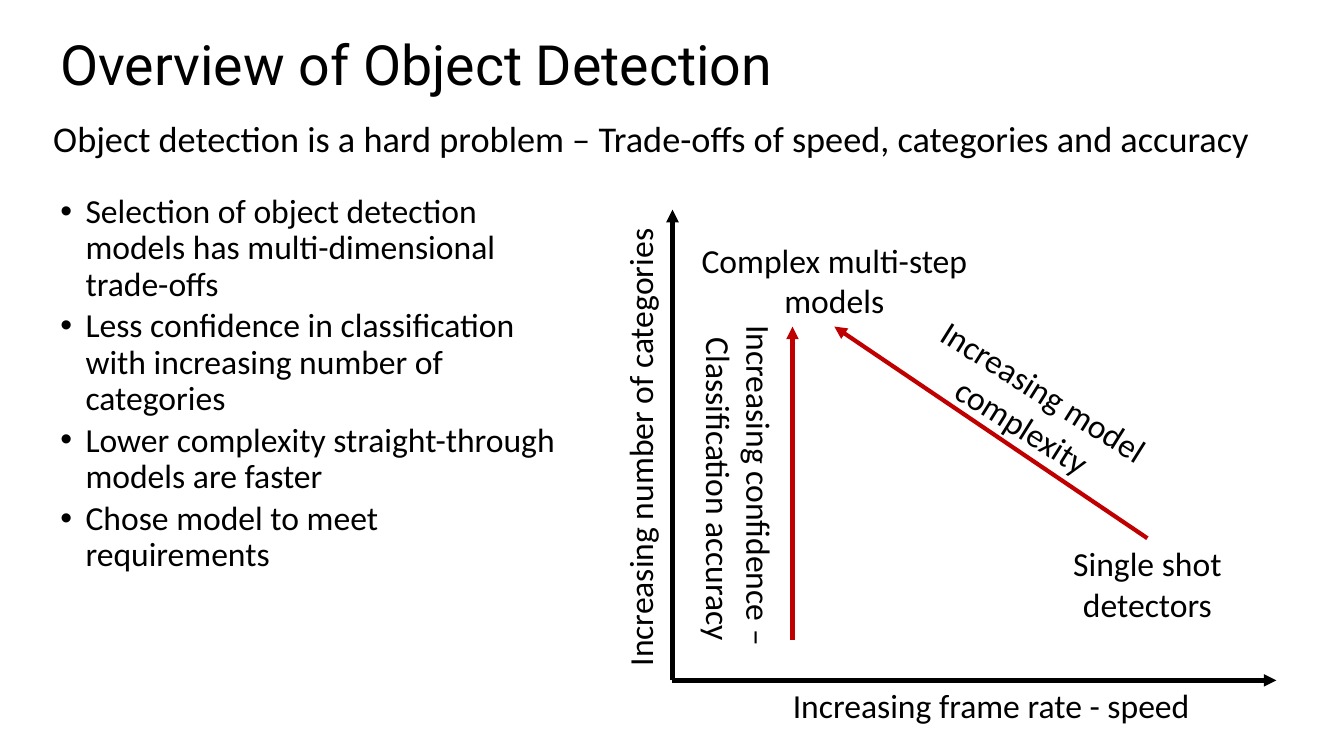
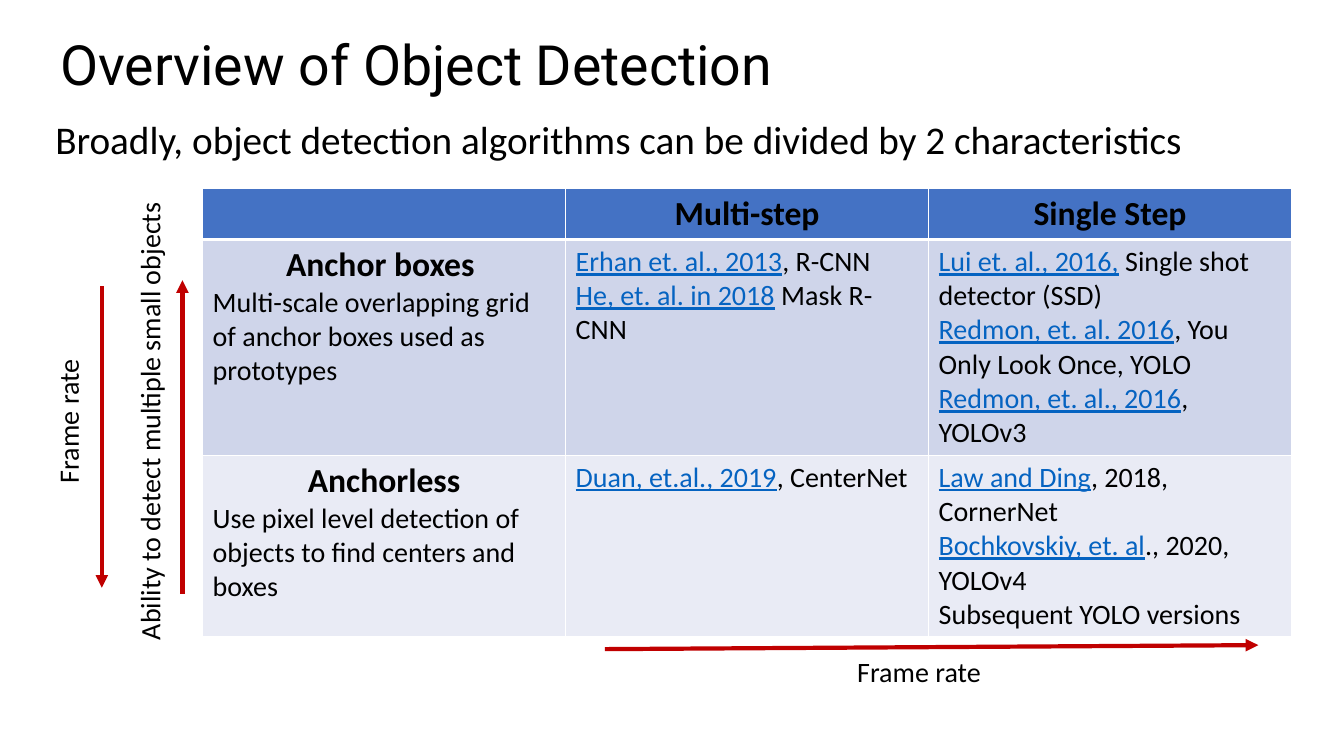
from dataclasses import dataclass

from lxml import etree
from pptx import Presentation
from pptx.dml.color import RGBColor
from pptx.enum import shapes, text
from pptx.oxml import ns
from pptx.util import Emu, Pt

EMU_PER_PX = 9144  # 100 px to the inch
COLORS = {
    "ink": "000000", "trend": "C00000", "link": "0563C1", "grid": "FFFFFF",
    "header": "4472C4", "band_dark": "CFD5EA", "band_light": "E9EBF5",
}
BODY_FONT, TITLE_FONT = "Calibri", "Roboto"
LEFT, CENTER = text.PP_ALIGN.LEFT, text.PP_ALIGN.CENTER
BULLET_INDENT = 25
TITLE = "Overview of Object Detection"


@dataclass(frozen=True)
class Label:
    words: str
    left: int
    top: int
    width: int
    height: int
    rotation: float = 0


@dataclass(frozen=True)
class Arrow:
    start: tuple[int, int]
    end: tuple[int, int]
    color: str = "trend"


@dataclass(frozen=True)
class Entry:
    """A table cell: a bold centred heading above plain lines."""
    heading: str = ""
    details: str = ""


SINGLE_SHOT = Label("Single shot detectors", 1009, 534, 258, 91)
MULTI_STEP = Label("Complex multi-step models", 684, 233, 287, 91)
TRADE_OFF_LABELS = (
    Label("Increasing frame rate - speed", 762, 675, 442, 50),
    Label("Increasing number of categories", 398, 419, 473, 50, 270),
    Label("Increasing model complexity", 833, 360, 383, 91, 32.2),
    Label("Increasing confidence – \nClassification accuracy", 512, 440, 442, 91, 90),
)
ORIGIN = (667, 675)
TRADE_OFF_ARROWS = (
    Arrow(ORIGIN, (1266, 675), "ink"),
    Arrow(ORIGIN, (667, 208), "ink"),
    Arrow((786, 635), (786, 324)),
)
TRADE_OFFS = "\n".join((
    "Selection of object detection models has multi-dimensional trade-offs",
    "Less confidence in classification with increasing number of categories",
    "Lower complexity straight-through models are faster",
    "Chose model to meet requirements",
))

FAMILY_LABELS = (
    Label("Frame rate", -169, 396, 473, 44, 270),
    Label("Ability to detect multiple small objects", -88, 396, 473, 44, 270),
    Label("Frame rate", 675, 644, 473, 44),
)
FAMILY_ARROWS = (
    Arrow((101, 284), (101, 583)),
    Arrow((181, 589), (181, 278)),
    Arrow((600, 644), (1248, 640)),
)
# Words in square brackets are shown as references.
FAMILIES = (
    (Entry(), Entry("Multi-step"), Entry("Single Step")),
    (
        Entry("Anchor boxes ", "Multi-scale overlapping grid of anchor boxes used as prototypes"),
        Entry(details="[Erhan et. al., 2013], R-CNN\n[He, et. al. in 2018] Mask R-CNN"),
        Entry(details="[Lui et. al., 2016,] Single shot detector (SSD)\n"
                      "[Redmon, et. al. 2016], You Only Look Once, YOLO\n"
                      "[Redmon, et. al., 2016], YOLOv3"),
    ),
    (
        Entry("Anchorless", "Use pixel level detection of objects to find centers and boxes"),
        Entry(details="[Duan, et.al., 2019], CenterNet"),
        Entry(details="[Law and Ding], 2018, CornerNet\n"
                      "[Bochkovskiy, et. al]., 2020, YOLOv4\n"
                      "Subsequent YOLO versions"),
    ),
)
ROW_HEIGHTS = (49, 210, 178)
ROW_FILLS = ("header", "band_dark", "band_light")
COLUMN_WIDTH = 360


def px(length: int) -> Emu:
    return Emu(length * EMU_PER_PX)


def rgb(name: str) -> RGBColor:
    return RGBColor.from_string(COLORS[name])


def write(frame, words: str, *, size: float, font: str = BODY_FONT, bold: bool = False,
          align=LEFT, line_spacing: float = 1.0, space_before: float = 0,
          bullet: bool = False, append: bool = False) -> None:
    """Write one paragraph per line; bracketed words become references."""
    for index, line in enumerate(words.split("\n")):
        first = index == 0 and not append
        paragraph = frame.paragraphs[0] if first else frame.add_paragraph()
        if bullet:
            properties = paragraph._p.get_or_add_pPr()
            properties.set("marL", str(px(BULLET_INDENT)))
            properties.set("indent", str(-px(BULLET_INDENT)))
            etree.SubElement(properties, ns.qn("a:buFont"), typeface="Arial")
            etree.SubElement(properties, ns.qn("a:buChar"), char="•")
        paragraph.alignment = align
        paragraph.line_spacing = line_spacing
        if not first:
            paragraph.space_before = Pt(space_before)
        for position, part in enumerate(line.replace("]", "[").split("[")):
            if not part:
                continue
            is_reference = position % 2 == 1
            run = paragraph.add_run()
            run.text = part
            run.font.name, run.font.size, run.font.bold = font, Pt(size), bold
            run.font.underline = is_reference
            run.font.color.rgb = rgb("link" if is_reference else "ink")


def add_text(slide, label: Label, *, grow: bool = False,
             anchor=text.MSO_ANCHOR.TOP, **text_format):
    box = slide.shapes.add_textbox(px(label.left), px(label.top),
                                   px(label.width), px(label.height))
    box.rotation = label.rotation
    frame = box.text_frame
    frame.word_wrap = True
    frame.vertical_anchor = anchor
    frame.auto_size = text.MSO_AUTO_SIZE.SHAPE_TO_FIT_TEXT if grow else text.MSO_AUTO_SIZE.NONE
    write(frame, label.words, **text_format)
    return box


def add_labels(slide, labels: tuple[Label, ...], size: int) -> list:
    return [add_text(slide, label, grow=True, size=size, align=CENTER) for label in labels]


def add_arrow(slide, arrow: Arrow):
    connector = slide.shapes.add_connector(
        shapes.MSO_CONNECTOR.STRAIGHT,
        *(px(value) for value in (*arrow.start, *arrow.end)))
    connector.line.color.rgb = rgb(arrow.color)
    connector.line.width = Pt(3)
    etree.SubElement(connector.line._get_or_add_ln(), ns.qn("a:tailEnd"), type="triangle")
    etree.SubElement(connector._element.spPr, ns.qn("a:effectLst"))
    return connector


def add_headed_slide(deck, subtitle: str, size: float, left: int):
    slide = deck.slides.add_slide(deck.slide_layouts[6])
    add_text(slide, Label(subtitle, left, 115, 1260, 67), size=size, line_spacing=0.9)
    add_text(slide, Label(TITLE, 50, 36, 1260, 63), size=39.6, font=TITLE_FONT,
             line_spacing=0.9, anchor=text.MSO_ANCHOR.MIDDLE)
    return slide


def set_borders(cell, **widths: float) -> None:
    """Draw cell borders in the schema's order: L, R, T, B."""
    properties = cell._tc.get_or_add_tcPr()
    for side in "LRTB":
        border = etree.SubElement(properties, ns.qn(f"a:ln{side}"),
                                  w=str(Pt(widths.get(side, 1))))
        fill = etree.SubElement(border, ns.qn("a:solidFill"))
        etree.SubElement(fill, ns.qn("a:srgbClr"), val=COLORS["grid"])


def add_family_table(slide) -> None:
    columns = len(FAMILIES[0])
    table = slide.shapes.add_table(len(FAMILIES), columns, px(201), px(187),
                                   px(COLUMN_WIDTH * columns), px(sum(ROW_HEIGHTS))).table
    table.first_row = table.horz_banding = False
    for column in table.columns:
        column.width = px(COLUMN_WIDTH)
    for row_index, entries in enumerate(FAMILIES):
        table.rows[row_index].height = px(ROW_HEIGHTS[row_index])
        for column_index, entry in enumerate(entries):
            cell = table.cell(row_index, column_index)
            set_borders(cell, T=3 if row_index == 1 else 1, B=3 if row_index == 0 else 1)
            cell.fill.solid()
            cell.fill.fore_color.rgb = rgb(ROW_FILLS[row_index])
            if entry.heading:
                write(cell.text_frame, entry.heading, size=24, bold=True, align=CENTER)
            if entry.details:
                write(cell.text_frame, entry.details, size=20, append=bool(entry.heading))


def add_trade_off_slide(deck) -> None:
    slide = add_headed_slide(
        deck, "Object detection is a hard problem – Trade-offs of speed, categories and accuracy",
        size=25.9, left=43)
    add_text(slide, Label(TRADE_OFFS, 50, 188, 512, 508), size=24,
             line_spacing=0.9, space_before=4, bullet=True)
    single_shot, multi_step = add_labels(slide, (SINGLE_SHOT, MULTI_STEP), size=24)
    complexity = add_arrow(slide, Arrow((1138, 534), (827, 324)))
    complexity.begin_connect(single_shot, 0)
    complexity.end_connect(multi_step, 2)
    for arrow in TRADE_OFF_ARROWS:
        add_arrow(slide, arrow)
    add_labels(slide, TRADE_OFF_LABELS, size=24)


def add_family_slide(deck) -> None:
    slide = add_headed_slide(
        deck, "Broadly, object detection algorithms can be divided by 2 characteristics",
        size=28, left=45)
    add_family_table(slide)
    add_labels(slide, FAMILY_LABELS, size=20)
    for arrow in FAMILY_ARROWS:
        add_arrow(slide, arrow)


def main() -> None:
    deck = Presentation()
    deck.slide_width, deck.slide_height = px(1333), px(750)
    add_trade_off_slide(deck)
    add_family_slide(deck)
    deck.save("out.pptx")


if __name__ == "__main__":
    main()
